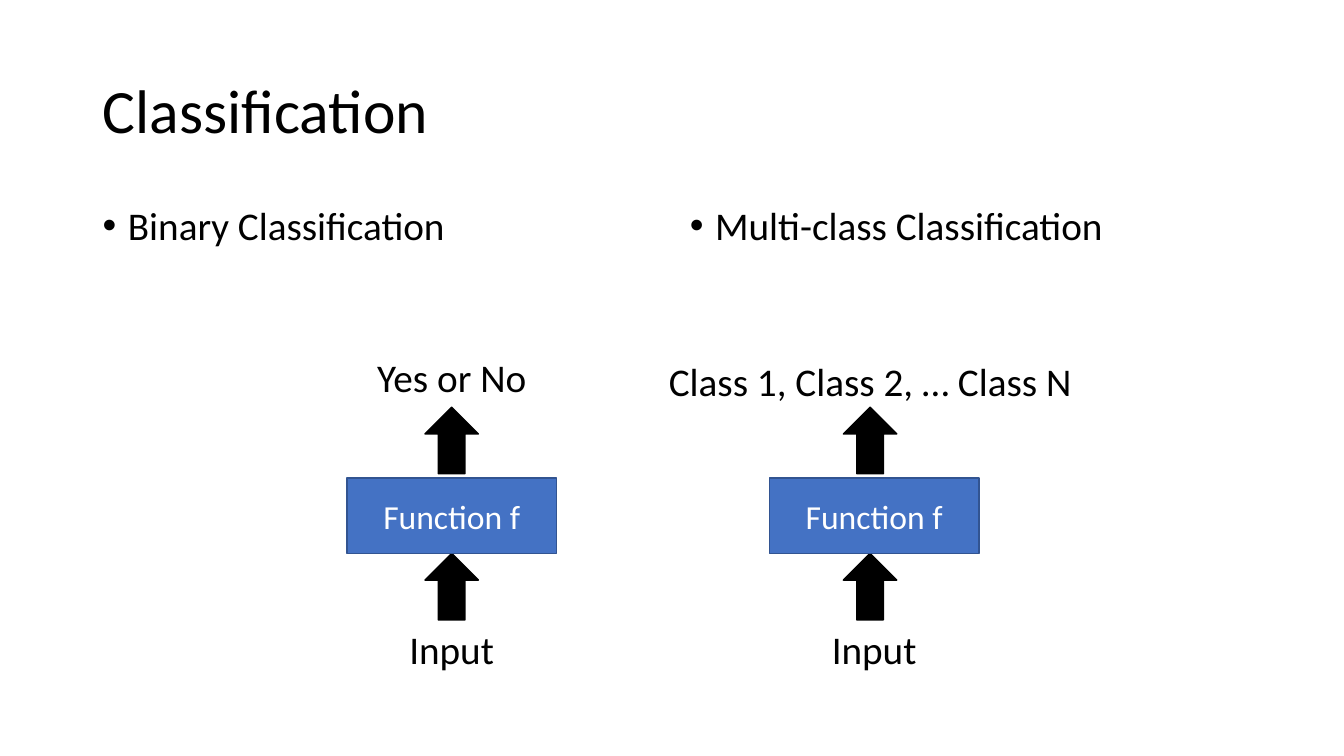
from lxml import etree
from pptx import Presentation
from pptx.dml.color import RGBColor
from pptx.enum.shapes import MSO_SHAPE
from pptx.enum.text import MSO_ANCHOR, PP_ALIGN
from pptx.oxml.ns import qn
from pptx.util import Inches, Pt

RECT, ARROW = MSO_SHAPE.RECTANGLE, MSO_SHAPE.UP_ARROW
TOP, MIDDLE = MSO_ANCHOR.TOP, MSO_ANCHOR.MIDDLE
LEFT, CENTER = PP_ALIGN.LEFT, PP_ALIGN.CENTER
COLORS = {"ink": "000000", "paper": "FFFFFF", "box": "4472C4", "edge": "325491"}
WIDE, HIGH = 13.33, 7.5
MARGIN, GAP = 0.92, 0.16
COLUMN = (WIDE - 2 * MARGIN - GAP) / 2


def color(name):
    return RGBColor.from_string(COLORS[name])


def place(box):
    return [Inches(side) for side in box]


def write(shape, text, size, tone="ink", align=CENTER, anchor=TOP):
    frame = shape.text_frame
    frame.word_wrap = True
    frame.vertical_anchor = anchor
    frame.text = text
    para = frame.paragraphs[0]
    para.alignment = align
    font = para.runs[0].font
    font.name, font.size = "Calibri", Pt(size)
    font.color.rgb = color(tone)
    return para


def label(slide, box, text):
    return write(slide.shapes.add_textbox(*place(box)), text, 28)


def block(slide, kind, box, fill, edge):
    shape = slide.shapes.add_shape(kind, *place(box))
    shape.shadow.inherit = False
    shape.fill.solid()
    shape.fill.fore_color.rgb = color(fill)
    shape.line.color.rgb = color(edge)
    shape.line.width = Pt(1)
    return shape


def head(slide, box, text):
    title = slide.shapes.title
    title.left, title.top, title.width, title.height = place(box)
    para = write(title, text, 44, align=LEFT, anchor=MIDDLE)
    para.line_spacing = 0.9


def bullet(slide, box, text):
    para = label(slide, box, text)
    para.alignment = LEFT
    para.line_spacing = 0.9
    props = para._p.get_or_add_pPr()
    props.set("marL", str(Inches(0.25)))
    props.set("indent", str(-Inches(0.25)))
    font = etree.SubElement(props, qn("a:buFont"))
    font.set("typeface", "Arial")
    etree.SubElement(props, qn("a:buChar")).set("char", "•")


def flow(slide, box, result, span, rise, shift):
    left, top, width, height = box
    mid = left + width / 2
    for y in (top - 0.7, top + height):
        block(slide, ARROW, (mid + shift - 0.265, y, 0.53, 0.66), "ink", "ink")
    step = block(slide, RECT, box, "box", "edge")
    write(step, "Function f", 24, "paper", anchor=MIDDLE)
    label(slide, (mid - 1.22, top + 1.41, 2.44, 0.57), "Input")
    label(slide, (mid + shift - span / 2, top - rise, span, 0.57), result)


def main():
    deck = Presentation()
    deck.slide_width, deck.slide_height = Inches(WIDE), Inches(HIGH)
    slide = deck.slides.add_slide(deck.slide_layouts[5])
    head(slide, (MARGIN, 0.4, WIDE - 2 * MARGIN, 1.45), "Classification")
    names = ("Binary Classification", "Multi-class Classification")
    for col, name in enumerate(names):
        bullet(slide, (MARGIN + col * (COLUMN + GAP), 2, COLUMN, 4.76), name)
    flow(slide, (3.44, 4.74, 2.08, 0.75), "Yes or No", 2.12, 1.28, 0)
    flow(slide, (7.63, 4.74, 2.08, 0.75), "Class 1, Class 2, … Class N", 4.3, 1.24, -0.04)
    deck.save("out.pptx")


if __name__ == "__main__":
    main()
